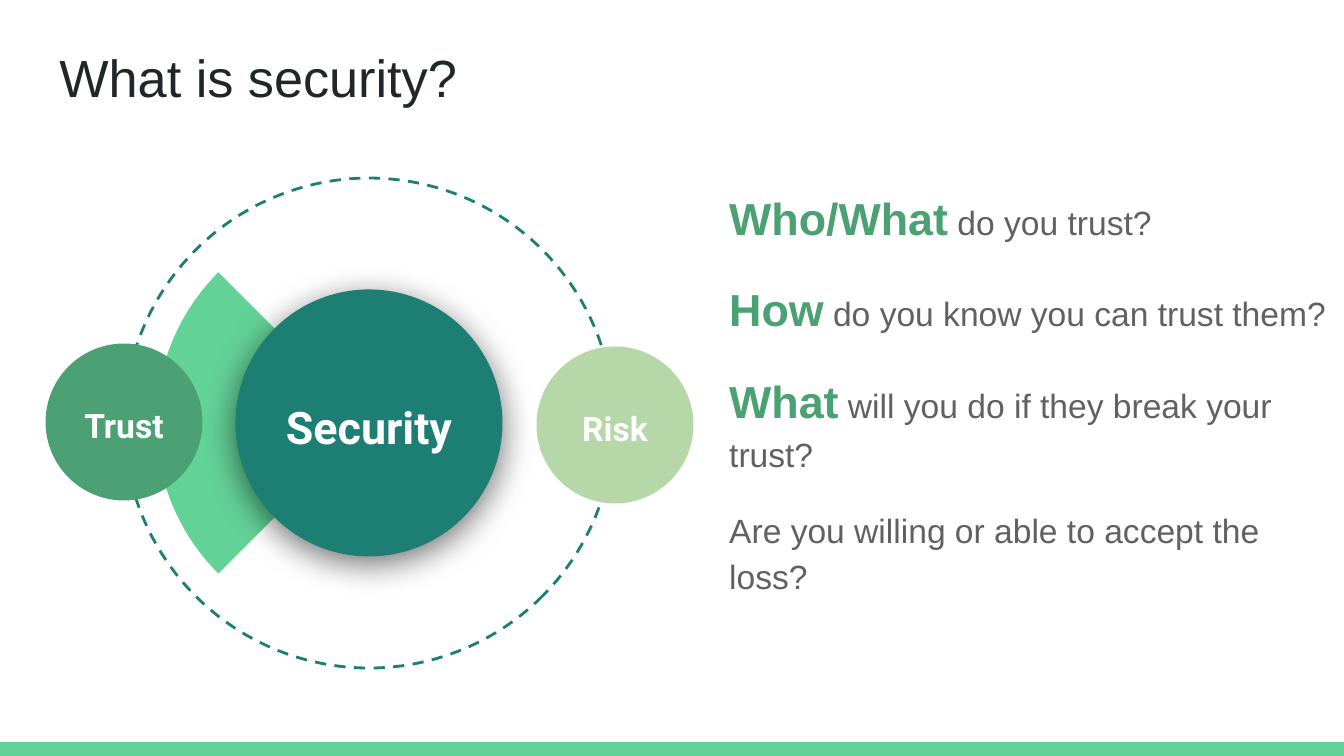
"""Build the "What is security?" slide: a trust and risk diagram beside four questions."""
from lxml.etree import fromstring
from pptx import Presentation
from pptx.dml.color import RGBColor
from pptx.enum.dml import MSO_LINE
from pptx.enum.shapes import MSO_SHAPE as Shape
from pptx.enum.text import MSO_ANCHOR as Anchor, MSO_AUTO_SIZE as AutoSize, PP_ALIGN as Align
from pptx.util import Emu, Pt

TITLE = "What is security?"
QUESTIONS = [
    ("Who/What", " do you trust?"),
    ("How", " do you know you can trust them?"),
    ("What", " will you do if they break your trust?"),
    ("", "Are you willing or able to accept the loss?"),
]
TEAL, MINT, GREEN, SAGE = "1D7E74", "63D297", "4BA173", "B6D7A8"
WHITE, GRAY, INK = "FFFFFF", "616161", "202729"
CENTER = (369, 423)
RING, WEDGE = 490, 426
DISCS = [
    dict(text="Security", center=CENTER, size=267, label=(198, 121), color=TEAL, points=24, shadow=True),
    dict(text="Trust", center=(124, 422), size=157, label=(112, 108), color=GREEN, points=18, shadow=False),
    dict(text="Risk", center=(615, 425), size=157, label=(112, 108), color=SAGE, points=18, shadow=False),
]
SHADOW = (
    '<a:effectLst xmlns:a="http://schemas.openxmlformats.org/drawingml/2006/main">'
    '<a:outerShdw blurRad="228600" dist="50800" dir="5400000" algn="bl" rotWithShape="0">'
    '<a:srgbClr val="000000"><a:alpha val="55000"/></a:srgbClr></a:outerShdw></a:effectLst>'
)


def px(length):
    return Emu(round(length * 914400 / 134.4))


def rgb(value):
    return RGBColor.from_string(value)


def set_all(target, **values):
    for name, value in values.items():
        setattr(target, name, value)


def set_frame(frame, anchor):
    inset = Pt(7.2)
    set_all(frame, word_wrap=True, auto_size=AutoSize.NONE, vertical_anchor=anchor,
            margin_left=inset, margin_right=inset, margin_top=inset, margin_bottom=inset)


def add_span(para, text, color, points, font="Arial", bold=False):
    span = para.add_run()
    span.text = text
    set_all(span.font, name=font, size=Pt(points), bold=bold)
    span.font.color.rgb = rgb(color)


def add_centered(parent, kind, center, size, color=None):
    (x, y), (width, height) = center, size
    shape = parent.shapes.add_shape(kind, px(x - width / 2), px(y - height / 2), px(width), px(height))
    shape.shadow.inherit = False
    shape.line.fill.background()
    if color:
        shape.fill.solid()
        shape.fill.fore_color.rgb = rgb(color)
    else:
        shape.fill.background()
    return shape


def add_orbit(slide):
    group = slide.shapes.add_group_shape()
    ring = add_centered(group, Shape.OVAL, CENTER, (RING, RING))
    ring.rotation = 225
    ring.line.color.rgb = rgb(TEAL)
    set_all(ring.line, width=Pt(1.5), dash_style=MSO_LINE.DASH)
    wedge = add_centered(group, Shape.PIE, CENTER, (WEDGE, WEDGE), MINT)
    wedge.adjustments[0], wedge.adjustments[1] = 81, 135


def add_disc(slide, text, center, size, label, color, points, shadow):
    group = slide.shapes.add_group_shape()
    disc = add_centered(group, Shape.OVAL, center, (size, size), color)
    if shadow:
        disc.shadow.inherit = True
        disc._element.spPr.append(fromstring(SHADOW))
    box = add_centered(group, Shape.RECTANGLE, center, label, color)
    set_frame(box.text_frame, Anchor.MIDDLE)
    para = box.text_frame.paragraphs[0]
    set_all(para, alignment=Align.CENTER, line_spacing=1.15)
    add_span(para, text, WHITE, points, "Roboto", True)


def add_questions(slide):
    frame = slide.shapes.add_textbox(px(716), px(169), px(628), px(503)).text_frame
    set_frame(frame, Anchor.TOP)
    for index, (keyword, rest) in enumerate(QUESTIONS):
        para = frame.add_paragraph() if index else frame.paragraphs[0]
        set_all(para, line_spacing=1.15, space_before=Pt(16 if index else 0))
        if keyword:
            add_span(para, keyword, GREEN, 24, bold=True)
        add_span(para, rest, GRAY, 18)


def main():
    deck = Presentation()
    set_all(deck, slide_width=px(1344), slide_height=px(756))
    slide = deck.slides.add_slide(deck.slide_layouts[5])
    add_centered(slide, Shape.RECTANGLE, (672, 749), (1344, 14), MINT)

    title = slide.shapes.title
    set_all(title, left=px(46), top=px(32), width=px(1252), height=px(85))
    set_frame(title.text_frame, Anchor.TOP)
    para = title.text_frame.paragraphs[0]
    para.alignment = Align.LEFT
    add_span(para, TITLE, INK, 28)

    add_orbit(slide)
    for disc in DISCS:
        add_disc(slide, **disc)
    add_questions(slide)
    deck.save("out.pptx")


if __name__ == "__main__":
    main()
